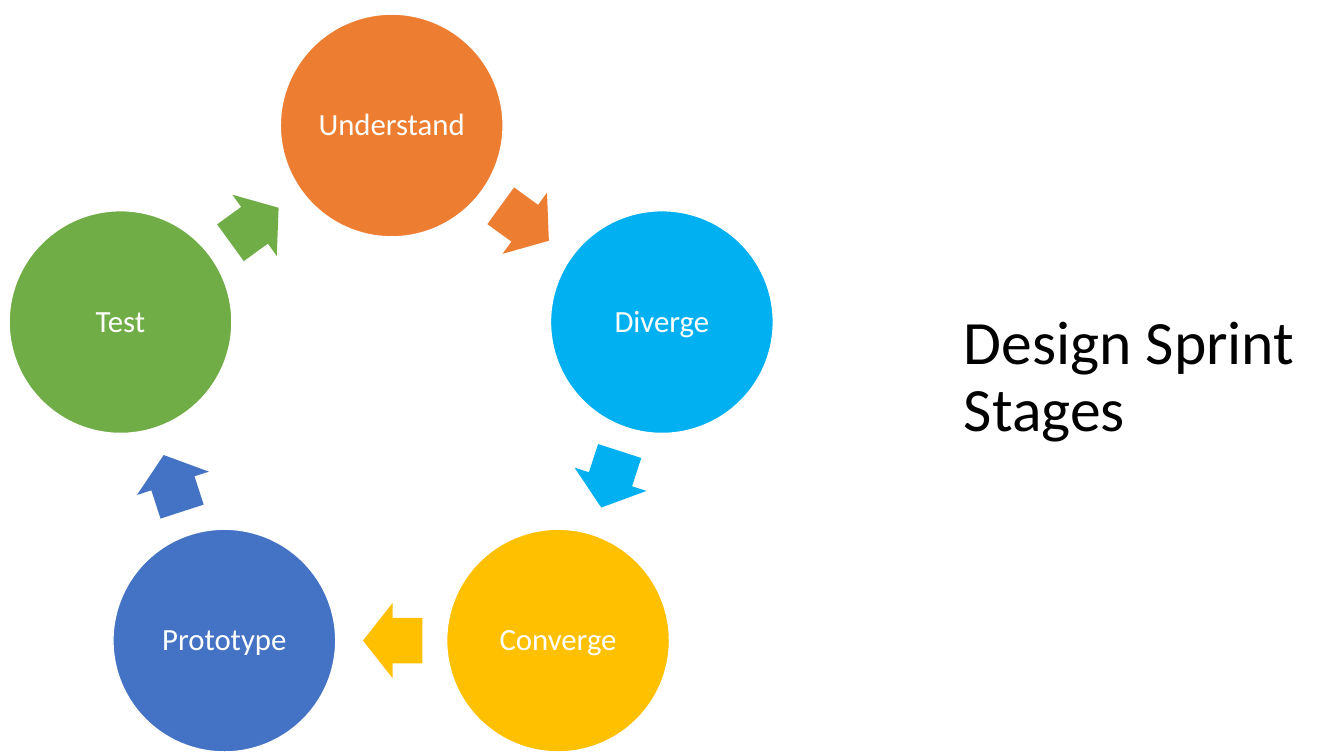
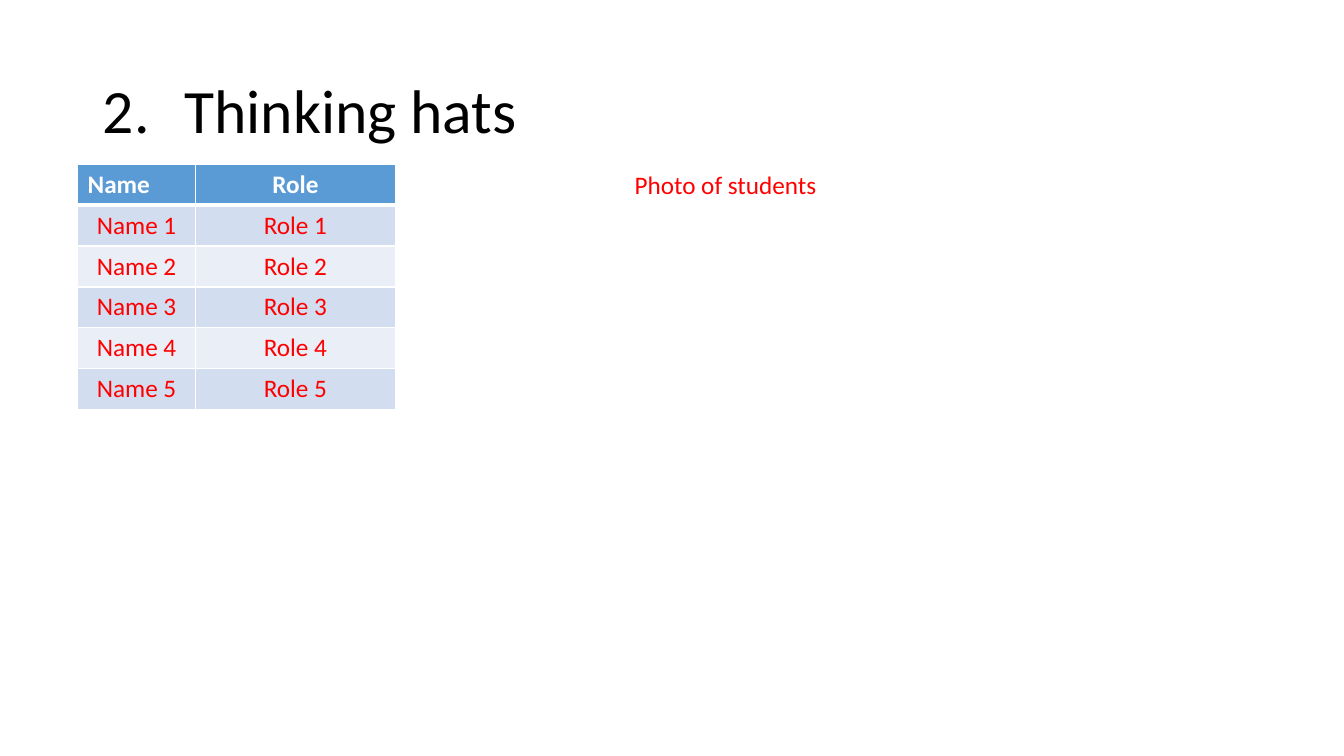
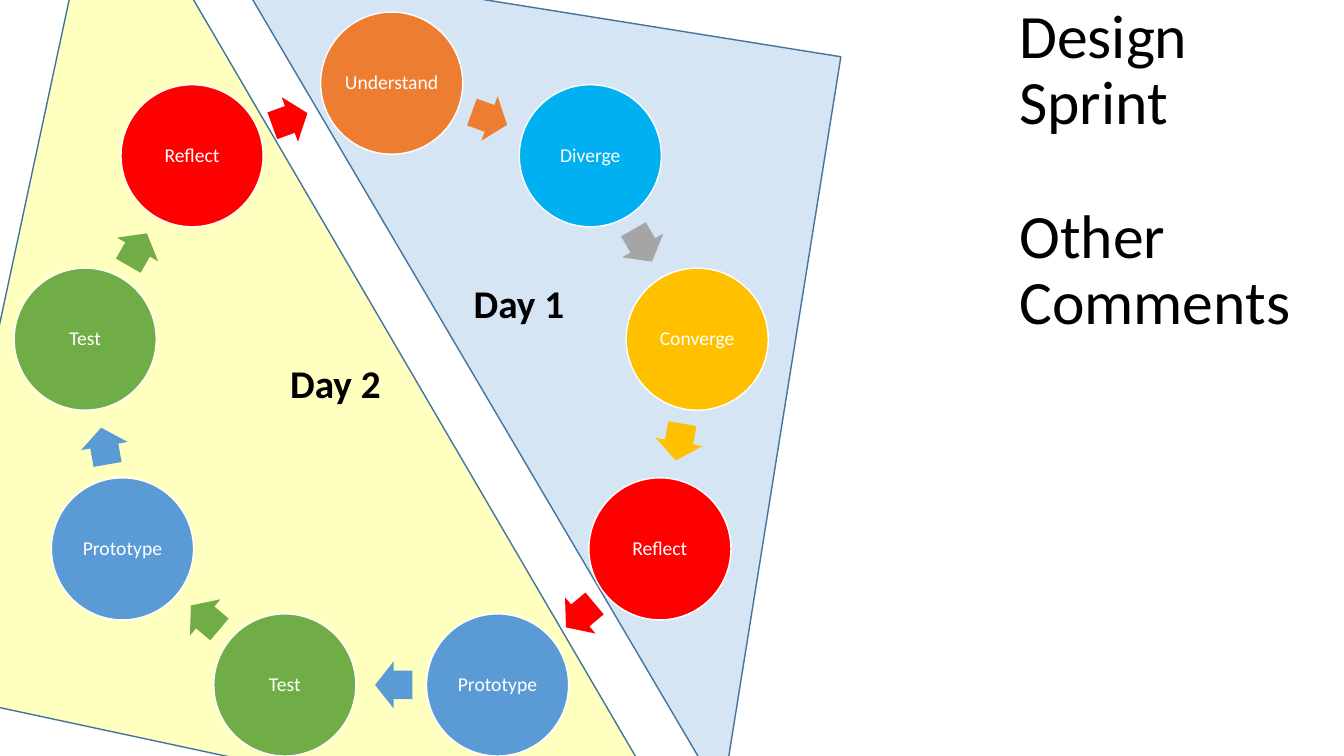
from math import cos, radians, sin

from pptx import Presentation
from pptx.dml.color import RGBColor
from pptx.enum.shapes import MSO_SHAPE as Shape
from pptx.enum.text import MSO_ANCHOR as Anchor, MSO_AUTO_SIZE as AutoSize, PP_ALIGN as Align
from pptx.oxml.ns import qn
from pptx.util import Pt
from lxml.etree import SubElement, Element

PX = 9144  # 100 px to the inch
FONT = "Calibri"
COLORS = {
    "white": "FFFFFF", "black": "000000", "red": "FF0000", "orange": "ED7D31",
    "sky": "00B0F0", "gold": "FFC000", "blue": "4472C4", "green": "70AD47",
    "steel": "5B9BD5", "gray": "A5A5A5", "yellow": "FFFF00", "edge": "43739E",
    "band": "D2DEEF", "pale": "EAEFF7",
}
RGB = {name: RGBColor.from_string(value) for name, value in COLORS.items()}


def box(*lengths):
    """Turn px lengths into EMU."""
    return [round(length * PX) for length in lengths]


def write(paragraph, text, size, color, bold=False, **paragraph_format):
    for name, value in paragraph_format.items():
        setattr(paragraph, name, value)
    run = paragraph.add_run()
    run.text = text
    run.font.color.rgb = RGB[color]
    for name, value in {"name": FONT, "size": Pt(size), "bold": bold}.items():
        setattr(run.font, name, value)


presentation = Presentation()
presentation.slide_width, presentation.slide_height = box(1333, 750)

# Slides and their titles
titles = [
    ((946, 0, 387, 750), Anchor.MIDDLE, ["Design Sprint Stages"]),
    ((92, 40, 1150, 145), Anchor.MIDDLE, ["Thinking hats"]),
    ((1001, 0, 332, 750), Anchor.TOP, ["Design Sprint", "Other Comments"]),
]
for place, anchor, lines in titles:
    slide = presentation.slides.add_slide(presentation.slide_layouts[5])
    title = slide.shapes.title
    title.left, title.top, title.width, title.height = box(*place)
    frame = title.text_frame
    frame.auto_size, frame.vertical_anchor = AutoSize.NONE, anchor
    for index, line in enumerate(lines):
        paragraph = frame.add_paragraph() if index else frame.paragraphs[0]
        write(paragraph, line, 44, "black", alignment=Align.LEFT, line_spacing=0.9,
              space_before=Pt(48 if index else 0))
stages_slide, hats_slide, days_slide = presentation.slides

# The hats title carries the number 2
properties = hats_slide.shapes.title.text_frame.paragraphs[0]._p.get_or_add_pPr()
indent = 81 * PX
properties.set("marL", str(indent))
properties.set("indent", str(-indent))
SubElement(properties, qn("a:buAutoNum"), type="arabicPeriod", startAt="2")

# Table of names and roles
rows = [("Name", "Role")] + [(f"Name {n}", f"Role {n}") for n in range(1, 6)]
table = hats_slide.shapes.add_table(len(rows), 2, *box(77, 163, 315, 243)).table
for column, width in zip(table.columns, box(117, 198)):
    column.width = width
for row_index, texts in enumerate(rows):
    header = row_index == 0
    for column_index, text in enumerate(texts):
        cell = table.cell(row_index, column_index)
        cell.fill.solid()
        fill = "steel" if header else "band" if row_index % 2 else "pale"
        cell.fill.fore_color.rgb = RGB[fill]
        left = header and column_index == 0
        write(cell.text_frame.paragraphs[0], text, 18, "white" if header else "red", header,
              alignment=Align.LEFT if left else Align.CENTER)
        borders = {"lnL": 1, "lnR": 1, "lnT": 3 if row_index == 1 else 1, "lnB": 3 if header else 1}
        for position, (tag, width) in enumerate(borders.items()):
            border = Element(qn(f"a:{tag}"), w=str(Pt(width)))
            SubElement(SubElement(border, qn("a:solidFill")), qn("a:srgbClr"), val=COLORS["white"])
            cell._tc.get_or_add_tcPr().insert(position, border)

# Two translucent triangles, one for each day
triangles = [((3, -82, 784, 859), 12.1, "yellow"), ((164, 3, 615, 744), 189.1, "steel")]
for place, rotation, color in triangles:
    triangle = days_slide.shapes.add_shape(Shape.RIGHT_TRIANGLE, *box(*place))
    triangle.rotation = rotation
    triangle.shadow.inherit = False
    triangle.fill.solid()
    triangle.fill.fore_color.rgb = RGB[color]
    color_element = triangle._element.spPr.find(qn("a:solidFill"))[0]
    SubElement(color_element, qn("a:alpha"), val="25000")
    triangle.line.color.rgb, triangle.line.width = RGB["edge"], Pt(1)

# Rings of stages: label, circle colour, arrow colour, clockwise from the top
five_stages = [
    ("Understand", "orange", "orange"), ("Diverge", "sky", "sky"), ("Converge", "gold", "gold"),
    ("Prototype", "blue", "blue"), ("Test", "green", "green"),
]
nine_stages = [
    ("Understand", "orange", "orange"), ("Diverge", "sky", "gray"), ("Converge", "gold", "gold"),
    ("Reflect", "red", "red"), ("Prototype", "steel", "steel"), ("Test", "green", "green"),
    ("Prototype", "steel", "steel"), ("Test", "green", "green"), ("Reflect", "red", "red"),
]
ARROW_LAG = 2
rings = [
    (stages_slide, five_stages, 407, 282, 221, (59, 75), 22, 3),
    (days_slide, nine_stages, 390, 308, 141, (37, 47), 14, 2),
]
center_x = 388
for slide, stages, center_y, radius, diameter, (length, breadth), size, inset in rings:
    step = 360 / len(stages)
    arrow_radius = radius * cos(radians(step / 2))
    for index, (label, circle_color, arrow_color) in enumerate(stages):
        angle = radians(index * step)
        x = round(center_x + radius * sin(angle) - diameter / 2)
        y = round(center_y - radius * cos(angle) - diameter / 2)
        circle = slide.shapes.add_shape(Shape.OVAL, *box(x, y, diameter, diameter))
        circle.line.color.rgb, circle.line.width = RGB["white"], Pt(1)
        frame = circle.text_frame
        frame.word_wrap, frame.vertical_anchor = True, Anchor.MIDDLE
        for side in ("left", "top", "right", "bottom"):
            setattr(frame, f"margin_{side}", inset * PX)
        write(frame.paragraphs[0], label, size, "white", alignment=Align.CENTER, line_spacing=0.9)

        turn = (index + 0.5) * step
        angle = radians(turn)
        x = round(center_x + arrow_radius * sin(angle) - ARROW_LAG * cos(angle) - length / 2)
        y = round(center_y - arrow_radius * cos(angle) - ARROW_LAG * sin(angle) - breadth / 2)
        arrow = slide.shapes.add_shape(Shape.RIGHT_ARROW, *box(x, y, length, breadth))
        arrow.rotation = turn
        arrow.adjustments[0], arrow.adjustments[1] = 0.6, 0.5
        arrow.line.fill.background()

        for shape, color in ((circle, circle_color), (arrow, arrow_color)):
            shape.shadow.inherit = False
            shape.fill.solid()
            shape.fill.fore_color.rgb = RGB[color]

# Free labels
labels = [
    (hats_slide, "Photo of students", (475, 163, 489, 40), 18, "red", False, Align.CENTER),
    (days_slide, "Day 1", (460, 272, 116, 57), 28, "black", True, Align.LEFT),
    (days_slide, "Day 2", (278, 352, 116, 57), 28, "black", True, Align.LEFT),
]
for slide, text, place, size, color, bold, alignment in labels:
    frame = slide.shapes.add_textbox(*box(*place)).text_frame
    frame.word_wrap = True
    write(frame.paragraphs[0], text, size, color, bold, alignment=alignment)

presentation.save("out.pptx")
